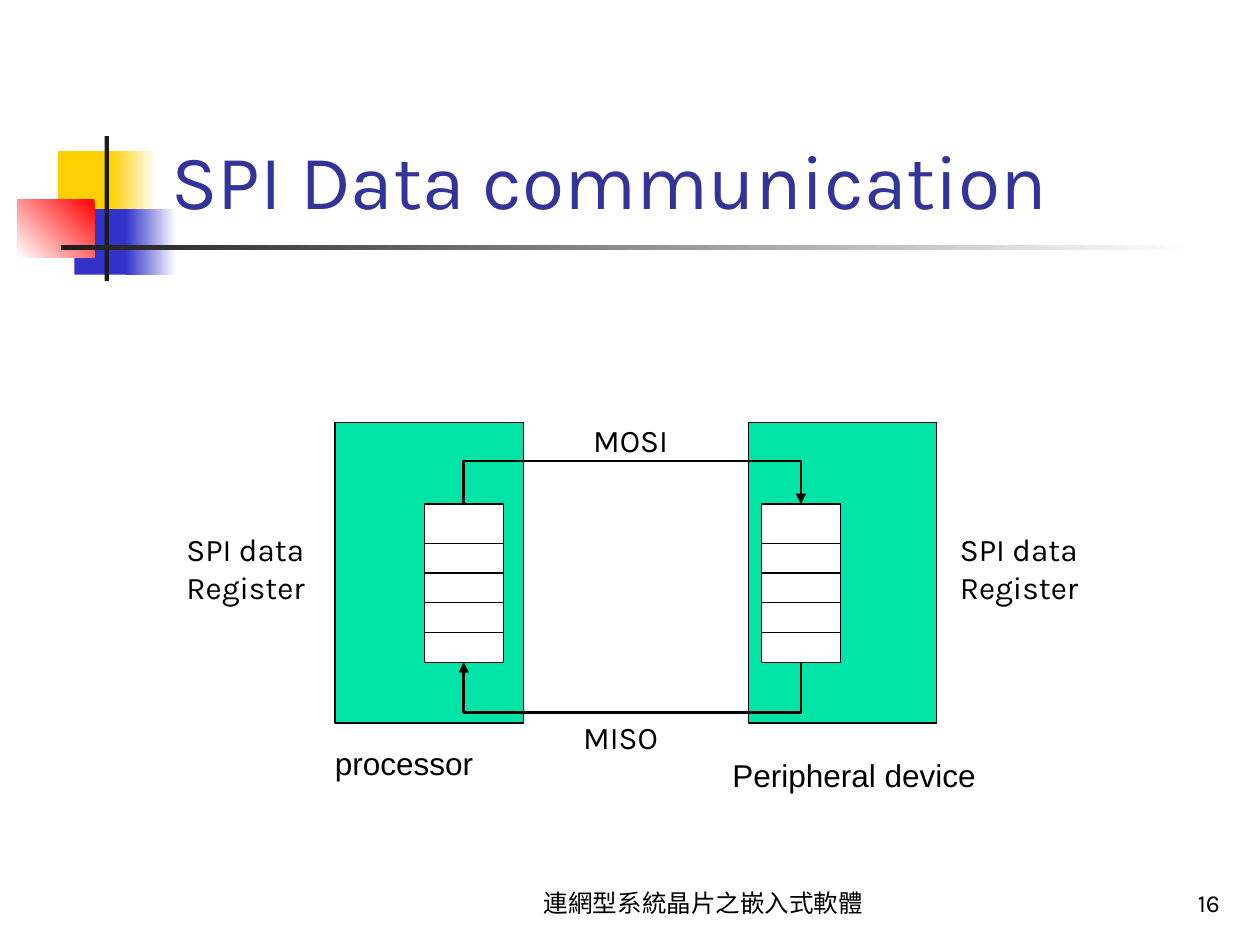
"""Build the SPI data communication slide."""
from lxml.etree import SubElement
from pptx import Presentation
from pptx.dml.color import RGBColor
from pptx.enum.shapes import MSO_CONNECTOR, MSO_SHAPE
from pptx.enum.text import MSO_ANCHOR, PP_ALIGN
from pptx.oxml.ns import qn
from pptx.util import Pt


def rgb(value):
    return RGBColor.from_string(value)


def add_text(box, lines, size, font="Karla", color="000000", align=PP_ALIGN.LEFT,
             anchor=MSO_ANCHOR.TOP, wrap=False):
    tf = s.shapes.add_textbox(*[Pt(v) for v in box]).text_frame
    tf.word_wrap = wrap
    tf.vertical_anchor = anchor
    for i, line in enumerate(lines):
        p = tf.add_paragraph() if i else tf.paragraphs[0]
        p.alignment = align
        r = p.add_run()
        r.text = line
        r.font.size = Pt(size)
        r.font.name = font
        r.font.color.rgb = rgb(color)


prs = Presentation()
prs.slide_width, prs.slide_height = Pt(720), Pt(540)
s = prs.slides.add_slide(prs.slide_layouts[6])

decor = [
    ((33.1, 86.4, 34.6, 37.4), "FFCF01", None),
    ((63.4, 86.4, 25.9, 37.4), "FFCF01", 0),
    ((42.5, 119.5, 33.1, 37.4), "3333CC", None),
    ((72, 119.5, 28.8, 37.4), "3333CC", 0),
    ((10.1, 113.8, 43.9, 33.1), "FF0000", 225),
    ((59.8, 77.8, 2.5, 82.8), "1C1C1C", None),
    ((34.6, 140.2, 648, 2.5), "1C1C1C", 0),
]
for box, color, angle in decor:
    sp = s.shapes.add_shape(MSO_SHAPE.RECTANGLE, *[Pt(v) for v in box])
    sp.shadow.inherit = False
    sp.line.fill.background()
    if angle is None:
        sp.fill.solid()
        sp.fill.fore_color.rgb = rgb(color)
    else:
        sp.fill.gradient()
        sp.fill.gradient_angle = angle
        for stop, stop_color in zip(sp.fill.gradient_stops, (color, "FFFFFF")):
            stop.color.rgb = rgb(stop_color)
            stop.position = 0 if stop_color == color else 1

add_text((90.7, 16.6, 613.4, 115.2), ["SPI Data communication"], 44,
         color="333399", anchor=MSO_ANCHOR.BOTTOM, wrap=True)

reg_top, reg_bottom, reg_w, row_h = 288, 378.4, 45.2, 17
for device_x, reg_x in ((191.5, 242.4), (427.8, 435)):
    for box, color in (((device_x, 241.6, 107.5, 171.6), "00E4A8"),
                       ((reg_x, reg_top, reg_w, reg_bottom - reg_top), "FFFFFF")):
        sp = s.shapes.add_shape(MSO_SHAPE.RECTANGLE, *[Pt(v) for v in box])
        sp.shadow.inherit = False
        sp.fill.solid()
        sp.fill.fore_color.rgb = rgb(color)
        sp.line.color.rgb = rgb("000000")
        sp.line.width = Pt(0.75)
    for row in range(4, 0, -1):
        y = Pt(reg_bottom - row * row_h)
        cx = s.shapes.add_connector(MSO_CONNECTOR.STRAIGHT, Pt(reg_x), y, Pt(reg_x + reg_w), y)
        cx.line.color.rgb = rgb("000000")
        cx.line.width = Pt(0.75)
        SubElement(cx._element.spPr, qn("a:effectLst"))

left, right = 265, 457.7
for x1, x2, y, bend_y in ((right, left, reg_bottom, 407.2), (left, right, reg_top, 263.4)):
    fb = s.shapes.build_freeform(Pt(x1), Pt(y))
    fb.add_line_segments([(Pt(x1), Pt(bend_y)), (Pt(x2), Pt(bend_y)), (Pt(x2), Pt(y))],
                         close=False)
    sp = fb.convert_to_shape()
    sp.shadow.inherit = False
    sp.fill.background()
    sp.line.color.rgb = rgb("000000")
    sp.line.width = Pt(1.5)
    SubElement(sp.line._get_or_add_ln(), qn("a:tailEnd"), type="triangle")

add_text((184.3, 421.9, 93.6, 28.8), ["processor"], 18, font="Arial")
add_text((411.4, 428.6, 153.4, 28.8), ["Peripheral device"], 18, font="Arial")
add_text((331.9, 236.9, 60.5, 28.8), ["MOSI"], 18)
add_text((326.2, 406.8, 60.5, 28.8), ["MISO"], 18)
for x in (99.4, 541.4):
    add_text((x, 299.5, 84.2, 50.4), ["SPI data", "Register"], 18)

add_text((288, 491.8, 228.2, 36), ["連網型系統晶片之嵌入式軟體"], 14,
         align=PP_ALIGN.CENTER, anchor=MSO_ANCHOR.BOTTOM, wrap=True)
add_text((554.4, 491.8, 149.8, 36), ["16"], 14,
         align=PP_ALIGN.RIGHT, anchor=MSO_ANCHOR.BOTTOM, wrap=True)

prs.save("out.pptx")
